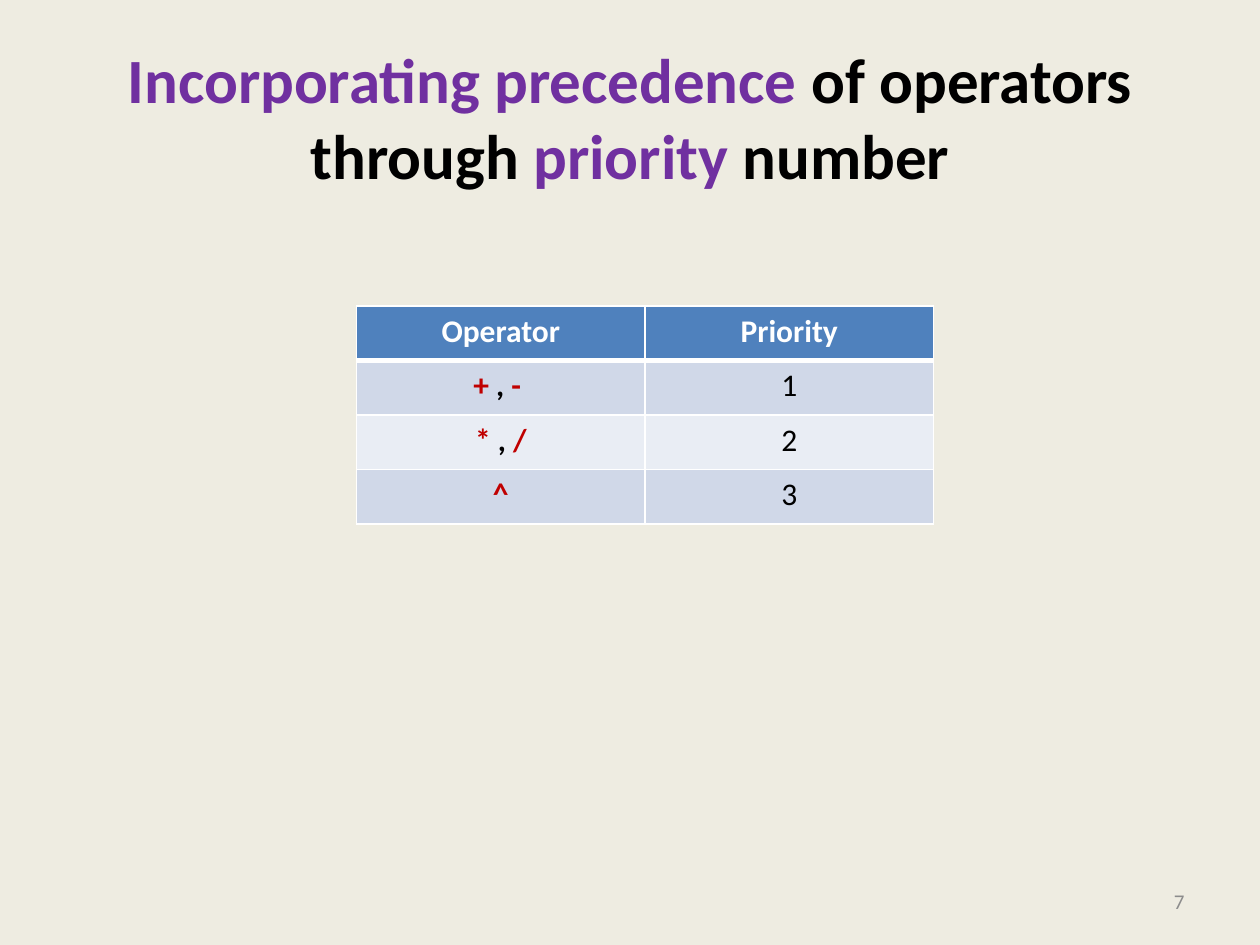
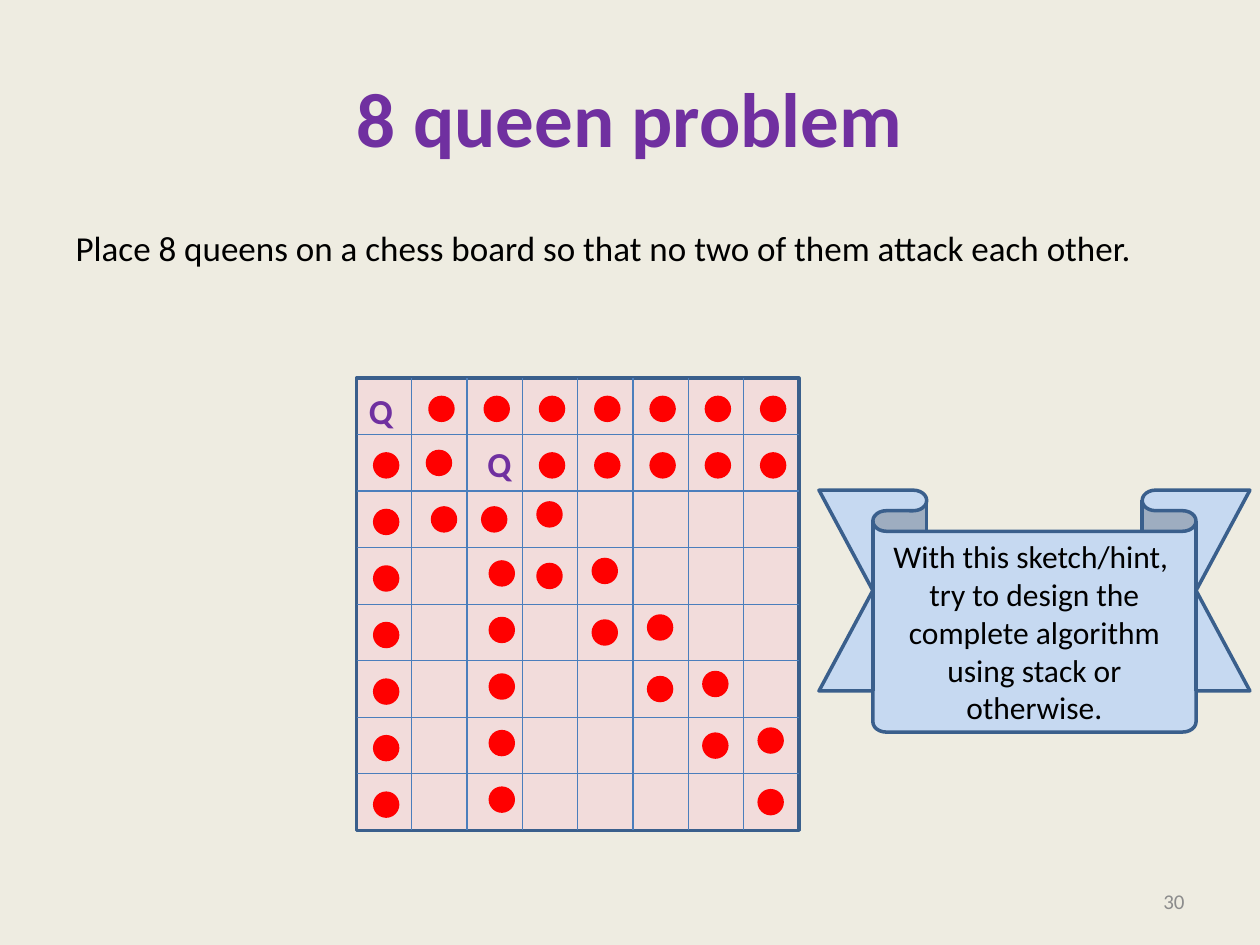
from lxml import etree
from pptx import Presentation
from pptx import util as u
from pptx.dml import color
from pptx.enum import shapes, text
from pptx.oxml import ns

COLORS = {
    "paper": "EEECE1", "purple": "7030A0", "black": "000000", "grey": "8C8C8C",
    "white": "FFFFFF", "crimson": "C00000", "header": "4F81BD", "odd": "D0D8E8",
    "even": "E9EDF4", "board": "F2DCDB", "outline": "3A5F8C", "grid": "4B7EBC",
    "dot": "FF0000", "ribbon": "C6D9F1",
}
RGB = {name: color.RGBColor.from_string(code) for name, code in COLORS.items()}
ALIGN = text.PP_ALIGN
MIDDLE = text.MSO_ANCHOR.MIDDLE


def write(tf, *paragraphs, size=18, bold=False, fill="black", align=ALIGN.CENTER, anchor=None):
    if anchor is not None:
        tf.vertical_anchor = anchor
    for i, runs in enumerate(paragraphs):
        p = tf.add_paragraph() if i else tf.paragraphs[0]
        p.alignment = align
        for words, tone in [(runs, fill)] if isinstance(runs, str) else runs:
            r = p.add_run()
            r.text = words
            r.font.name = "Calibri"
            r.font.size = u.Pt(size)
            r.font.bold = bold
            r.font.color.rgb = RGB[tone]


def paint(sp, fill, line=None):
    sp.shadow.inherit = False
    sp.fill.solid()
    sp.fill.fore_color.rgb = RGB[fill]
    if line:
        sp.line.color.rgb = RGB[line]
        sp.line.width = u.Pt(2)
    else:
        sp.line.fill.background()


prs = Presentation()
prs.slide_width, prs.slide_height = u.Inches(10), u.Inches(7.5)
bg = prs.slide_master.background.fill
bg.solid()
bg.fore_color.rgb = RGB["paper"]

pages = [
    (5, "7", 36, [("Incorporating precedence", "purple"), (" of operators through ", "black"),
                  ("priority", "purple"), (" number", "black")]),
    (1, "30", 44, "8 queen problem"),
]
slides = []
for layout, number, size, title in pages:
    s = prs.slides.add_slide(prs.slide_layouts[layout])
    sp = s.shapes.title
    sp.left, sp.top, sp.width, sp.height = map(u.Inches, (0.5, 0.3, 9, 1.25))
    write(sp.text_frame, title, size=size, bold=True, fill="purple", anchor=MIDDLE)
    sp = s.shapes.add_textbox(*map(u.Inches, (7.17, 6.95, 2.33, 0.4)))
    sp.text_frame.word_wrap = True
    write(sp.text_frame, number, size=12, fill="grey", align=ALIGN.RIGHT, anchor=MIDDLE)
    slides.append(s)
priority_slide, queens_slide = slides

rows = [
    ("Operator", "Priority"),
    ([("+ ", "crimson"), (",", "black"), (" - ", "crimson")], "1"),
    ([("* ", "crimson"), (",", "black"), (" /", "crimson")], "2"),
    ([("^", "crimson")], "3"),
]
table = priority_slide.shapes.add_table(
    len(rows), 2, *map(u.Inches, (2.83, 2.43, 4.58, 1.73))).table
for i, row in enumerate(rows):
    for j, content in enumerate(row):
        cell = table.cell(i, j)
        write(cell.text_frame, content, bold=i == 0 or j == 0, fill="black" if i else "white")
        tcPr = cell._tc.get_or_add_tcPr()
        for side in "LRTB":
            heavy = (i, side) in ((0, "B"), (1, "T"))
            ln = etree.SubElement(tcPr, ns.qn("a:ln" + side), w=str(u.Pt(3 if heavy else 1)))
            solid = etree.SubElement(ln, ns.qn("a:solidFill"))
            etree.SubElement(solid, ns.qn("a:srgbClr"), val=COLORS["white"])
        cell.fill.solid()
        cell.fill.fore_color.rgb = RGB["header" if i == 0 else "odd" if i % 2 else "even"]

s = queens_slide
sp = s.placeholders[1]
sp.left, sp.top, sp.width, sp.height = map(u.Inches, (0.5, 1.75, 9, 4.95))
write(sp.text_frame, "Place 8 queens on a chess board so that no two of them attack each other.",
      size=20, align=ALIGN.LEFT)
pPr = sp.text_frame.paragraphs[0]._p.get_or_add_pPr()
pPr.set("marL", "0")
pPr.set("indent", "0")
etree.SubElement(pPr, ns.qn("a:buNone"))

N = 8
left, top, width, height = 2.83, 3, 3.51, 3.59
col, row = width / N, height / N
board = s.shapes.add_group_shape().shapes
paint(board.add_shape(shapes.MSO_SHAPE.RECTANGLE, *map(u.Inches, (left, top, width, height))),
      "board", "outline")
for k in range(1, N):
    x, y = left + k * col, top + k * row
    for ends in ((x, top, x, top + height), (left, y, left + width, y)):
        line = board.add_connector(shapes.MSO_CONNECTOR.STRAIGHT, *map(u.Inches, ends))
        line.line.color.rgb = RGB["grid"]
        line.line.width = u.Pt(0.75)
        etree.SubElement(line._element.spPr, ns.qn("a:effectLst"))

for x, y in ((left, 3.04), (3.77, 3.46)):
    sp = s.shapes.add_textbox(*map(u.Inches, (x, y, 0.39, 0.44)))
    sp.text_frame.word_wrap = False
    sp.text_frame.auto_size = text.MSO_AUTO_SIZE.SHAPE_TO_FIT_TEXT
    write(sp.text_frame, "Q", size=20, bold=True, fill="purple", align=ALIGN.LEFT)

attacks = [
    ([(c, 0) for c in range(1, N)], 0, 0),
    ([(0, r) for r in range(1, N)], 0, 0),
    ([(k, k) for k in range(1, N)], -0.02, -0.02),
    ([(c, 1) for c in range(3, N)], 0, 0),
    ([(2, r) for r in range(3, N)], 0.04, -0.04),
    ([(c, c - 1) for c in range(3, N)], -0.02, -0.06),
    ([(1, 2)], 0.02, -0.02),
]
for cells, dx, dy in attacks:
    for c, r in cells:
        x, y = left + 0.13 + c * col + dx, top + 0.14 + r * row + dy
        paint(s.shapes.add_shape(shapes.MSO_SHAPE.OVAL, *map(u.Inches, (x, y, 0.21, 0.21))), "dot")

sp = s.shapes.add_shape(shapes.MSO_SHAPE.DOWN_RIBBON, *map(u.Inches, (6.5, 3.89, 3.42, 1.92)))
sp.adjustments[0], sp.adjustments[1] = 0.17, 0.75
paint(sp, "ribbon", "outline")
write(sp.text_frame, "With this sketch/hint, ",
      "try to design the complete algorithm using stack or otherwise.", anchor=MIDDLE)

prs.save("out.pptx")
